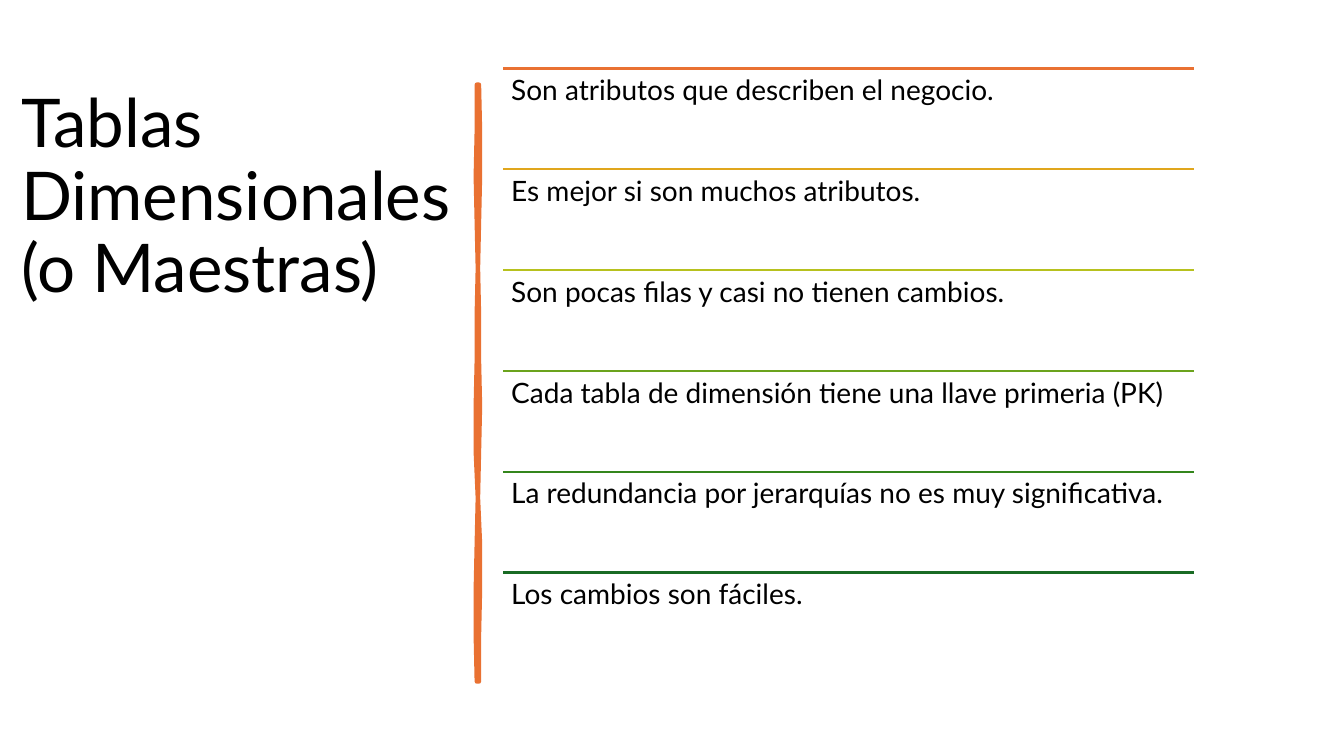
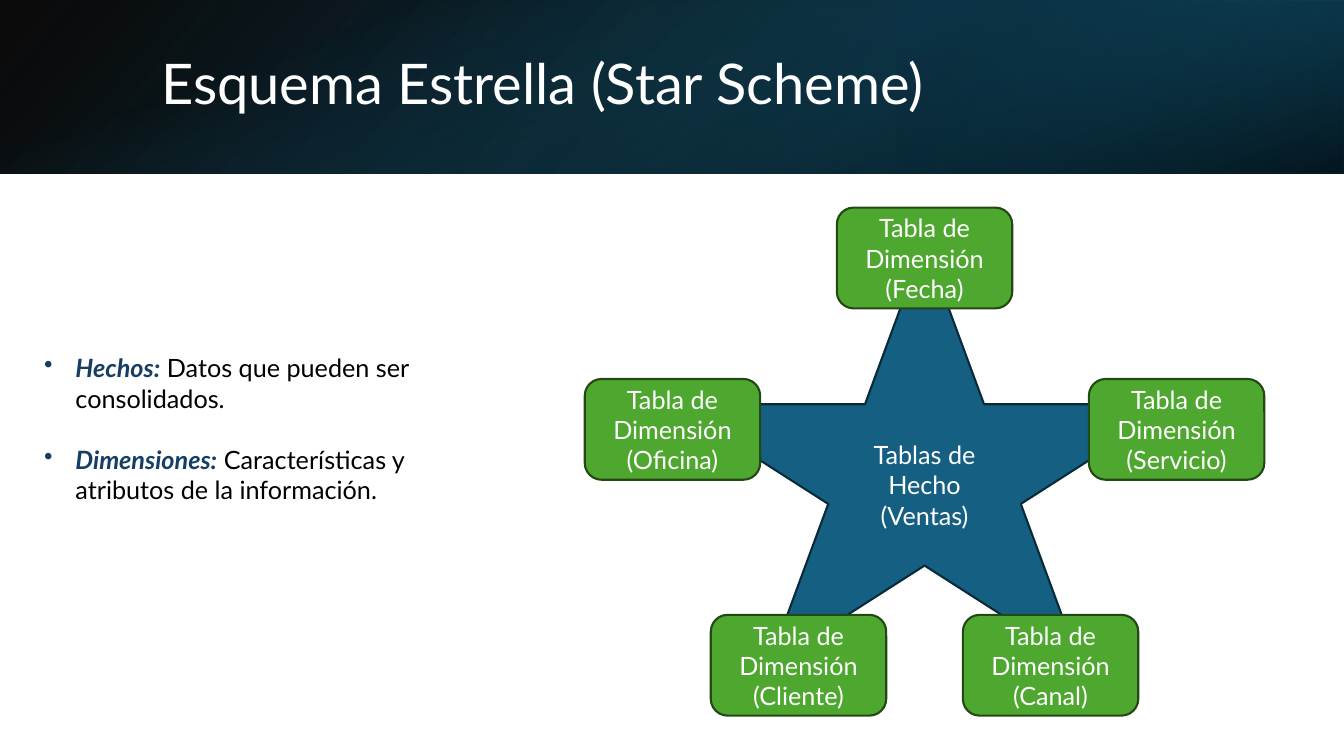
"""Build two slides on dimension tables and the star scheme."""
from lxml.etree import SubElement
from pptx import Presentation
from pptx.dml.color import RGBColor
from pptx.enum.shapes import MSO_CONNECTOR, MSO_SHAPE
from pptx.enum.text import MSO_ANCHOR, MSO_AUTO_SIZE, PP_ALIGN
from pptx.oxml.ns import qn
from pptx.util import Inches, Pt

FONT = "Lato"
BLACK = RGBColor(0x00, 0x00, 0x00)
WHITE = RGBColor(0xFF, 0xFF, 0xFF)
ORANGE = RGBColor(0xE9, 0x71, 0x32)
NAVY = RGBColor(0x16, 0x3E, 0x64)
BLUE = RGBColor(0x15, 0x60, 0x82)
DARK_BLUE = RGBColor(0x09, 0x2A, 0x39)
GREEN = RGBColor(0x4E, 0xA7, 0x2E)
DARK_GREEN = RGBColor(0x22, 0x49, 0x14)
BAND_BLUE = RGBColor(0x10, 0x48, 0x62)
BAND_NAVY = RGBColor(0x0B, 0x30, 0x41)

FEATURES = [
    ("Son atributos que describen el negocio.", ORANGE),
    ("Es mejor si son muchos atributos.", RGBColor(0xE0, 0xA6, 0x1D)),
    ("Son pocas filas y casi no tienen cambios.", RGBColor(0xB7, 0xC1, 0x1E)),
    ("Cada tabla de dimensión tiene una llave primeria (PK)", RGBColor(0x6B, 0xA3, 0x1D)),
    ("La redundancia por jerarquías no es muy significativa.", RGBColor(0x34, 0x86, 0x1C)),
    ("Los cambios son fáciles.", RGBColor(0x19, 0x6B, 0x24)),
]
DEFINITIONS = [
    ("Hechos:", " Datos que pueden ser consolidados."),
    ("Dimensiones:", " Características y atributos de la información."),
]
DIMENSIONS = [
    ("Cliente", -1, 6.6),
    ("Canal", 1, 6.6),
    ("Servicio", 2, 4.26),
    ("Fecha", 0, 2.56),
    ("Oficina", -2, 4.26),
]
BAND_LAYERS = [
    {"box": (0, 0, 13.33, 1.72), "rotation": 0, "flip": True, "angle": 140,
     "stops": [(0, BLACK, 96), (1, BAND_BLUE, 100)]},
    {"box": (8.89, 0, 4.44, 1.72), "rotation": 180, "flip": True, "angle": 320,
     "stops": [(0.19, BAND_NAVY, 68), (1, BLUE, 79)]},
    {"box": (5.8, -5.8, 1.72, 13.33), "rotation": 90, "flip": False, "angle": 340,
     "stops": [(0.23, BLUE, 0), (0.99, BLACK, 74)]},
]
BRUSH_TOP, BRUSH_BOTTOM, BRUSH_CENTER = 0.84, 6.76, 4.74
BRUSH_RIGHT = [0.01, 0.02, 0.02, 0.01, 0, 0.01, 0.01, 0.02, 0.01, 0, 0.02, 0.02, 0.01, 0.01]
BRUSH_LEFT = [-0.01, -0.01, -0.02, -0.01, 0, -0.01, -0.01, -0.02, -0.02, 0, -0.01, -0.02, -0.02, -0.01]


def inches(*lengths):
    return [Inches(length) for length in lengths]


def style(paragraph, size, color):
    font = paragraph.font
    font.name, font.size, font.color.rgb = FONT, Pt(size), color


def add_titled_slide(presentation, text, box, size, color):
    slide = presentation.slides.add_slide(presentation.slide_layouts[5])
    title = slide.shapes.title
    title.left, title.top, title.width, title.height = inches(*box)
    frame = title.text_frame
    frame.text = text
    frame.word_wrap = True
    frame.auto_size = MSO_AUTO_SIZE.NONE
    frame.vertical_anchor = MSO_ANCHOR.MIDDLE
    paragraph = frame.paragraphs[0]
    paragraph.alignment = PP_ALIGN.LEFT
    paragraph.line_spacing = 0.9
    style(paragraph, size, color)
    return slide


def paint(shape, fill, line, width):
    shape.shadow.inherit = False
    shape.fill.solid()
    shape.fill.fore_color.rgb = fill
    shape.line.color.rgb = line
    shape.line.width = Pt(width)


def add_brush_line(slide):
    step = (BRUSH_BOTTOM - BRUSH_TOP) / (len(BRUSH_RIGHT) - 1)
    right, left = (
        [inches(BRUSH_CENTER + offset, BRUSH_TOP + row * step) for row, offset in enumerate(side)]
        for side in (BRUSH_RIGHT, BRUSH_LEFT)
    )
    outline = right + left[::-1]
    builder = slide.shapes.build_freeform(*outline[0])
    builder.add_line_segments(outline[1:], close=True)
    paint(builder.convert_to_shape(), ORANGE, ORANGE, 3.25)


def add_features(slide):
    left, top, width, pitch = 4.99, 0.68, 6.85, 1.0
    for row, (text, color) in enumerate(FEATURES):
        y = top + row * pitch
        rule = slide.shapes.add_connector(MSO_CONNECTOR.STRAIGHT, *inches(left, y, left + width, y))
        rule.line.color.rgb = color
        rule.line.width = Pt(1.5)
        SubElement(rule._element.spPr, qn("a:effectLst"))
        frame = slide.shapes.add_textbox(*inches(left, y, width, pitch)).text_frame
        frame.word_wrap = True
        frame.margin_left = frame.margin_right = frame.margin_top = frame.margin_bottom = Inches(0.08)
        frame.text = text
        frame.paragraphs[0].line_spacing = 0.9
        style(frame.paragraphs[0], 20, BLACK)


def add_band(slide):
    for layer in BAND_LAYERS:
        shape = slide.shapes.add_shape(MSO_SHAPE.RECTANGLE, *inches(*layer["box"]))
        shape.shadow.inherit = False
        shape.line.fill.background()
        shape.rotation = layer["rotation"]
        properties = shape._element.spPr
        if layer["flip"]:
            properties.xfrm.set("flipH", "1")
        shape.fill.gradient()
        shape.fill.gradient_angle = 360 - layer["angle"]
        for stop, (position, color, _) in zip(shape.fill.gradient_stops, layer["stops"]):
            stop.position = position
            stop.color.rgb = color
        for element, (_, _, opacity) in zip(properties.iter(qn("a:srgbClr")), layer["stops"]):
            SubElement(element, qn("a:alpha")).set("val", str(opacity * 1000))
    slide.shapes._spTree.append(slide.shapes.title._element)


def add_label_shape(slide, kind, box, text, fill, line):
    shape = slide.shapes.add_shape(kind, *inches(*box))
    paint(shape, fill, line, 1.5)
    frame = shape.text_frame
    frame.word_wrap = True
    frame.vertical_anchor = MSO_ANCHOR.MIDDLE
    frame.text = text
    for paragraph in frame.paragraphs:
        paragraph.alignment = PP_ALIGN.CENTER
        style(paragraph, 18, WHITE)


def add_star(slide):
    left, top, width, height = 6.67, 2.41, 5, 4.19
    box_width, box_height = 1.74, 1
    add_label_shape(slide, MSO_SHAPE.STAR_5_POINT, (left, top, width, height),
                    "Tablas de Hecho\v(Ventas)", BLUE, DARK_BLUE)
    for name, quarters, center_y in DIMENSIONS:
        center_x = left + width / 2 + quarters * width / 4
        box = (center_x - box_width / 2, center_y - box_height / 2, box_width, box_height)
        add_label_shape(slide, MSO_SHAPE.ROUNDED_RECTANGLE, box,
                        f"Tabla de Dimensión\v({name})", GREEN, DARK_GREEN)


def add_definitions(slide):
    frame = slide.shapes.add_textbox(*inches(0.34, 3.45, 3.92, 1.62)).text_frame
    frame.word_wrap = True
    for index, (term, meaning) in enumerate(DEFINITIONS):
        paragraph = frame.add_paragraph() if index else frame.paragraphs[0]
        style(paragraph, 18, BLACK)
        if index:
            paragraph.space_before = Pt(22)
        term_run = paragraph.add_run()
        term_run.text = term
        term_run.font.bold = term_run.font.italic = True
        term_run.font.color.rgb = NAVY
        paragraph.add_run().text = meaning
        properties = paragraph._p.get_or_add_pPr()
        properties.set("marL", str(Inches(0.31)))
        properties.set("indent", str(-Inches(0.31)))
        bullet = properties.makeelement(qn("a:buChar"), {"char": "•"})
        properties.find(qn("a:defRPr")).addprevious(bullet)


def main():
    presentation = Presentation()
    presentation.slide_width, presentation.slide_height = inches(13.33, 7.5)

    tables = add_titled_slide(presentation, "Tablas Dimensionales (o Maestras)",
                              (0.11, 0.61, 4.59, 2.72), 48, BLACK)
    add_brush_line(tables)
    add_features(tables)

    scheme = add_titled_slide(presentation, "Esquema Estrella (Star Scheme)",
                              (1.5, 0.38, 10.98, 0.96), 40, WHITE)
    add_band(scheme)
    add_star(scheme)
    add_definitions(scheme)

    presentation.save("out.pptx")


if __name__ == "__main__":
    main()
